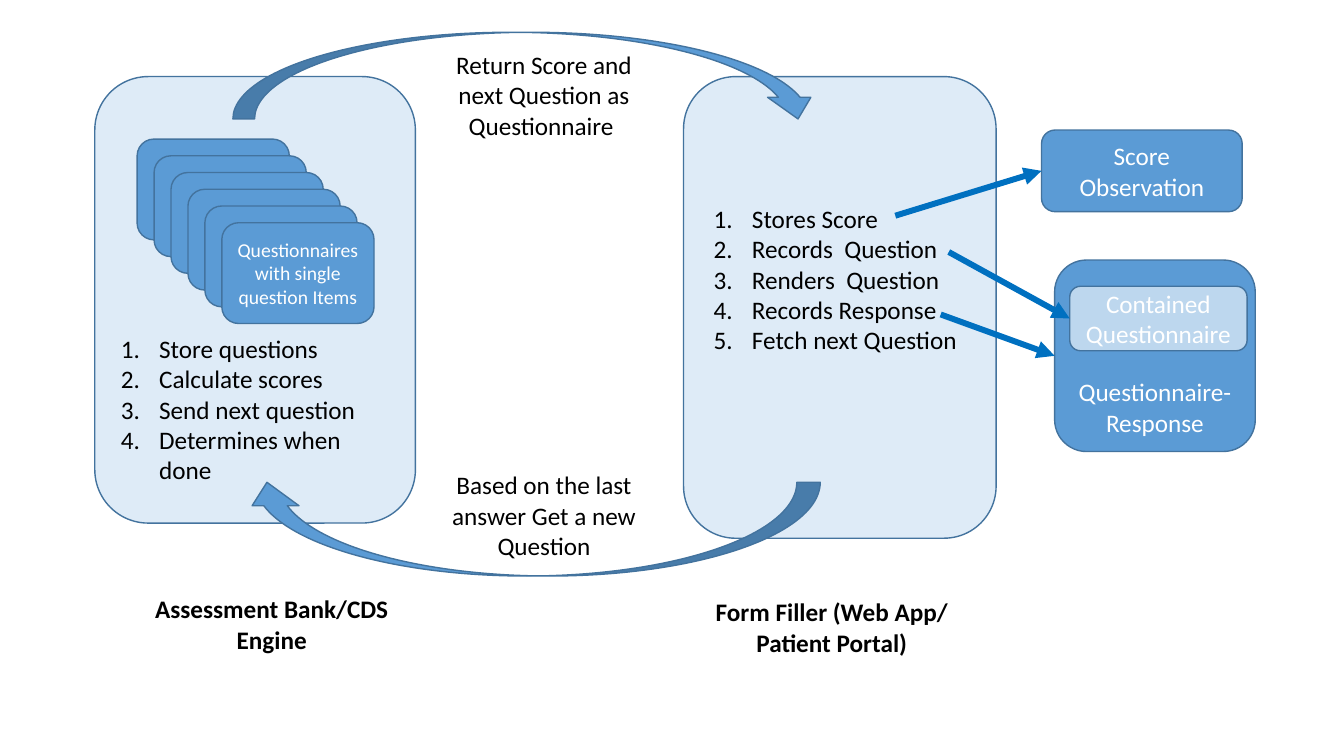
from lxml import etree
from pptx import Presentation
from pptx.dml.color import RGBColor
from pptx.enum.shapes import MSO_CONNECTOR, MSO_SHAPE as SHAPE
from pptx.enum.text import MSO_ANCHOR as ANCHOR, MSO_AUTO_SIZE, PP_ALIGN as ALIGN
from pptx.oxml.ns import qn
from pptx.util import Inches, Pt

COLORS = {"panel": "DEEBF7", "box": "5B9BD5", "inner": "BDD7EE", "edge": "43739E",
          "arrow": "0070C0", "black": "000000", "white": "FFFFFF"}
FONT = "Calibri"

# Places are left, top, width, height in inches
PANELS = [(6.78, 0.76, 3.1, 4.58), (0.94, 0.76, 3.18, 4.43)]

STACK_COUNT = 6
STACK_FIRST, STACK_LAST = (1.36, 1.38), (2.2, 2.21)
CARD_SIZE = (1.51, 1)
CARD_TEXT = "Questionnaires with single question Items"

LISTS = [
    ((1.1, 3.26, 2.81, 1.62),
     ["Store questions", "Calculate scores", "Send next question", "Determines when done"]),
    ((6.98, 1.97, 2.78, 1.62),
     ["Stores Score", "Records  Question", "Renders  Question", "Records Response",
      "Fetch next Question"]),
]

LOOPS = [((4.79, -2.16, 0.86, 5.82), 270), ((4.81, 2.39, 0.93, 5.72), 90)]

LABELS = [
    ((4.3, 0.44, 2.19, 1.01), "Return Score and next Question as Questionnaire ", False),
    ((4.3, 4.61, 2.19, 1.01), "Based on the last answer Get a new Question", False),
    ((6.98, 5.87, 2.54, 1.01), "Form Filler (Web App/ Patient Portal)", True),
    ((1.1, 5.84, 3.19, 1.01), "Assessment Bank/CDS Engine", True),
]

# Place, text, fill, anchor and the start of the arrow that points at the box
RESOURCES = [
    ((10.33, 1.29, 1.99, 0.81), "Score Observation", "box", ANCHOR.MIDDLE, (8.88, 2.14)),
    ((10.46, 2.58, 1.99, 1.9), "Questionnaire-Response", "box", ANCHOR.BOTTOM, (9.33, 3.12)),
    ((10.61, 2.84, 1.76, 0.64), "Contained Questionnaire", "inner", ANCHOR.MIDDLE, (9.41, 2.5)),
]


def rgb(name):
    return RGBColor.from_string(COLORS[name])


def inches(values):
    return [Inches(v) for v in values]


def write(sp, lines, size=18, color="black", bold=False, align=ALIGN.CENTER,
          anchor=ANCHOR.TOP, numbered=False):
    tf = sp.text_frame
    tf.word_wrap = True
    tf.vertical_anchor = anchor
    for i, line in enumerate(lines):
        p = tf.paragraphs[0] if i == 0 else tf.add_paragraph()
        p.alignment = align
        if numbered:
            pPr = p._p.get_or_add_pPr()
            pPr.set("marL", str(Inches(0.38)))
            pPr.set("indent", str(-Inches(0.38)))
            etree.SubElement(pPr, qn("a:buFont"), typeface="+mj-lt")
            etree.SubElement(pPr, qn("a:buAutoNum"), type="arabicPeriod")
        r = p.add_run()
        r.text = line
        r.font.name, r.font.size, r.font.bold = FONT, Pt(size), bold
        r.font.color.rgb = rgb(color)


def add_box(slide, place, fill="box", shape=SHAPE.ROUNDED_RECTANGLE):
    sp = slide.shapes.add_shape(shape, *inches(place))
    sp.shadow.inherit = False
    sp.fill.solid()
    sp.fill.fore_color.rgb = rgb(fill)
    sp.line.color.rgb = rgb("edge")
    sp.line.width = Pt(1)
    return sp


def add_text(slide, place, lines, **style):
    sp = slide.shapes.add_textbox(*inches(place))
    write(sp, lines, **style)
    sp.text_frame.auto_size = MSO_AUTO_SIZE.SHAPE_TO_FIT_TEXT


def add_arrow(slide, start, target):
    """Draw an arrow from a point to the middle of the target's left side."""
    x, y = inches(start)
    cx = slide.shapes.add_connector(MSO_CONNECTOR.STRAIGHT, x, y, x, y)
    cx.end_connect(target, 1)
    cx.line.color.rgb = rgb("arrow")
    cx.line.width = Pt(4.25)
    etree.SubElement(cx.line._get_or_add_ln(), qn("a:tailEnd"), type="triangle")
    etree.SubElement(cx._element.spPr, qn("a:effectLst"))


def main():
    prs = Presentation()
    prs.slide_width, prs.slide_height = Inches(13.33), Inches(7.5)
    slide = prs.slides.add_slide(prs.slide_layouts[6])

    for place in PANELS:
        add_box(slide, place, "panel")

    for i in range(STACK_COUNT):
        corner = [a + (b - a) * i / (STACK_COUNT - 1) for a, b in zip(STACK_FIRST, STACK_LAST)]
        card = add_box(slide, (*corner, *CARD_SIZE))
    write(card, [CARD_TEXT], size=14, color="white", anchor=ANCHOR.MIDDLE)

    for place, rotation in LOOPS:
        add_box(slide, place, shape=SHAPE.CURVED_LEFT_ARROW).rotation = rotation
    for place, items in LISTS:
        add_text(slide, place, items, align=ALIGN.LEFT, numbered=True)
    for place, text, bold in LABELS:
        add_text(slide, place, [text], bold=bold)

    targets = []
    for place, text, fill, anchor, start in RESOURCES:
        box = add_box(slide, place, fill)
        write(box, [text], color="white", anchor=anchor)
        targets.append((start, box))
    for start, box in targets:
        add_arrow(slide, start, box)

    prs.save("out.pptx")


if __name__ == "__main__":
    main()
